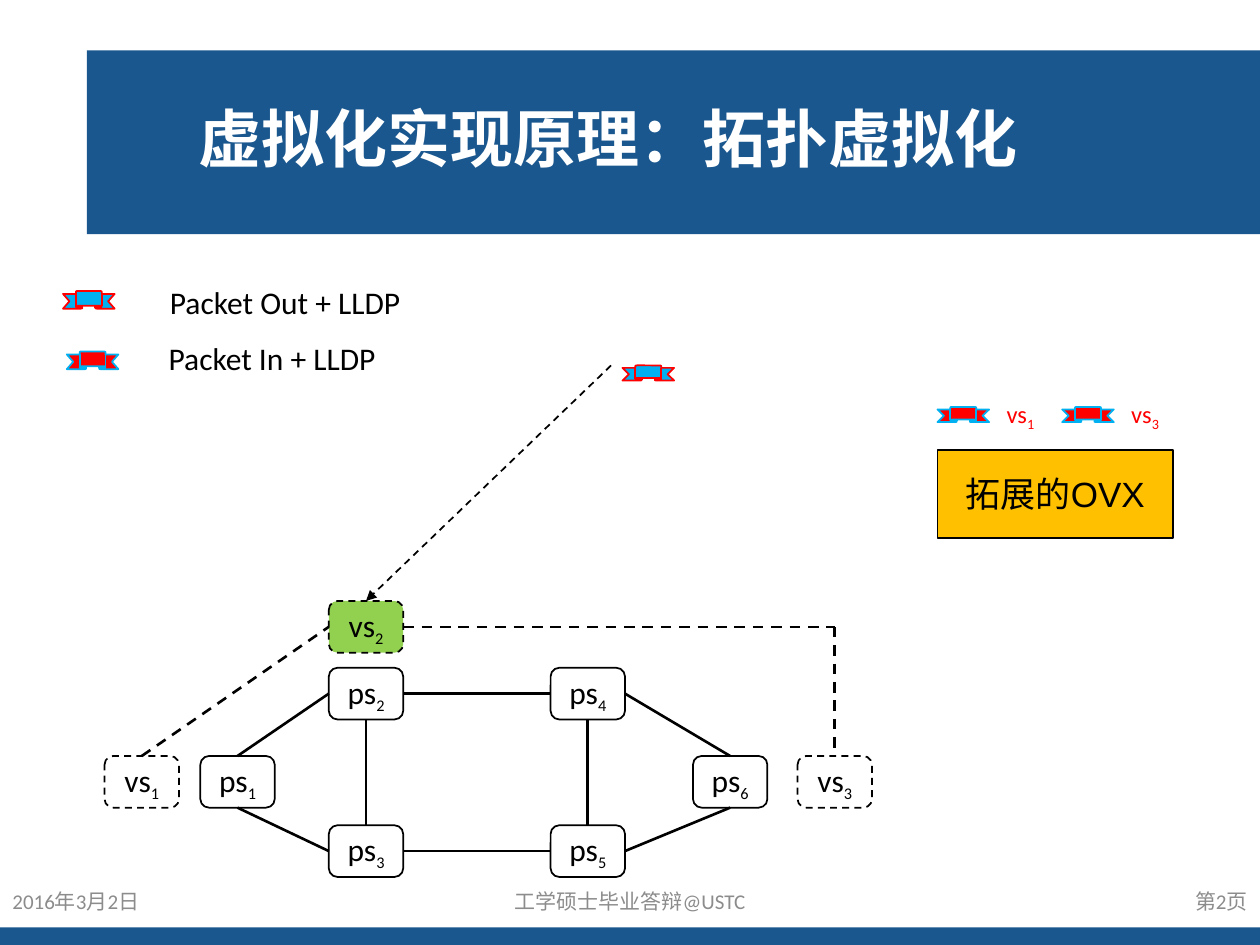
import pptx
import pptx.util
import pptx.dml.color
import pptx.enum.dml
import pptx.enum.shapes
import pptx.enum.text
import pptx.oxml

COLORS = {
    "blue": "1A578E", "white": "FFFFFF", "black": "000000", "gray": "8C8C8C",
    "green": "92D050", "amber": "FFC000", "sky": "00B0F0", "red": "FF0000",
}
SHAPES = pptx.enum.shapes.MSO_SHAPE
ALIGN = pptx.enum.text.PP_ALIGN
MIDDLE = pptx.enum.text.MSO_ANCHOR.MIDDLE
FIT = pptx.enum.text.MSO_AUTO_SIZE.SHAPE_TO_FIT_TEXT
DASH = pptx.enum.dml.MSO_LINE.DASH
BODY = {"vertical_anchor": MIDDLE, "word_wrap": True}
LABEL = {"word_wrap": False, "auto_size": FIT}
TOP, LEFT, BOTTOM, RIGHT = range(4)


def color(name):
    return pptx.dml.color.RGBColor.from_string(COLORS[name])


def apply(target, values):
    for name, value in values.items():
        setattr(target, name, value)


class Sketch:
    columns, rows, font = 100, 75, "Calibri"

    def __init__(self, deck):
        self.deck = deck
        self.page = deck.slides.add_slide(deck.slide_layouts[6])
        self.canvas = self.page.shapes

    def place(self, *values):
        steps = (self.deck.slide_width / self.columns, self.deck.slide_height / self.rows)
        return [round(value * steps[index % 2]) for index, value in enumerate(values)]

    def outline(self, line, name, weight, dashed=False):
        line.color.rgb = color(name)
        line.width = pptx.util.Pt(weight)
        if dashed:
            line.dash_style = DASH

    def shape(self, kind, area, fill=None, line=None, weight=1, dashed=False):
        box = self.canvas.add_shape(kind, *self.place(*area))
        box.shadow.inherit = False
        if fill:
            box.fill.solid()
            box.fill.fore_color.rgb = color(fill)
        else:
            box.fill.background()
        if line:
            self.outline(box.line, line, weight, dashed)
        else:
            box.line.fill.background()
        return box

    def fill_text(self, box, text, size, ink="black", sub="", sub_size=None,
                  body=BODY, align=ALIGN.LEFT, bold=False, font=None):
        apply(box.text_frame, body)
        para = box.text_frame.paragraphs[0]
        para.alignment = align
        for part, points in ((text, size), (sub, sub_size or size)):
            if part:
                span = para.add_run()
                span.text = part
                apply(span.font, {"size": pptx.util.Pt(points), "bold": bold,
                                  "name": font or self.font})
                span.font.color.rgb = color(ink)
        if sub:
            span._r.get_or_add_rPr().set("baseline", "-25000")
        return para

    def text(self, area, *args, **style):
        return self.fill_text(self.canvas.add_textbox(*self.place(*area)), *args, **style)

    def node(self, name, left, top, fill="white"):
        box = self.shape(SHAPES.ROUNDED_RECTANGLE, (left, top, 5.9, 4.1), fill, "black",
                         dashed=name.startswith("vs"))
        self.fill_text(box, name[:2], 18, sub=name[2:], sub_size=16, align=ALIGN.CENTER)
        return box

    def ribbon(self, left, top, height, fill, line):
        self.shape(SHAPES.UP_RIBBON, (left, top, 4.1, height), fill, line)

    def legend(self, area, text):
        self.fill_text(self.shape(SHAPES.RECTANGLE, area, line="white", weight=0.75),
                       text, 18, body=LABEL)

    def message(self, left, number):
        self.canvas = self.page.shapes.add_group_shape().shapes
        self.ribbon(left, 32.3, 1.2, "red", "sky")
        self.text((left + 4.5, 31.2, 4.3, 3.4), "vs", 14, "red", sub=number, body=LABEL)
        self.canvas = self.page.shapes

    def link(self, start=(0, 0), end=(0, 0), source=None, target=None,
             weight=1.5, dashed=False, arrow=False):
        line = self.canvas.add_connector(pptx.enum.shapes.MSO_CONNECTOR.STRAIGHT,
                                         *self.place(*start, *end))
        if source:
            line.begin_connect(*source)
        if target:
            line.end_connect(*target)
        self.outline(line.line, "black", weight, dashed)
        if arrow:
            tip = pptx.oxml.parse_xml(
                '<a:tailEnd xmlns:a="http://schemas.openxmlformats.org/drawingml/2006/main"'
                ' type="triangle"/>')
            line.get_or_add_ln().append(tip)
        line._element.spPr.append(pptx.oxml.parse_xml(
            '<a:effectLst xmlns:a="http://schemas.openxmlformats.org/drawingml/2006/main"/>'))


def main():
    deck = pptx.Presentation()
    deck.slide_width = pptx.util.Inches(10)
    deck.slide_height = pptx.util.Inches(7.5)
    sketch = Sketch(deck)

    sketch.shape(SHAPES.RECTANGLE, (6.9, 4, 93.1, 14.6), "blue")
    sketch.shape(SHAPES.RECTANGLE, (0, 73.6, 100, 1.4), "blue")
    title = sketch.text((6.9, 4, 86.2, 14.5), "虚拟化实现原理：拓扑虚拟化", 36, "white", bold=True)
    title.line_spacing = 0.9
    title._p.get_or_add_pPr().set("marL", str(pptx.util.Inches(0.79)))

    for left, width, text, align in (
        (0, 22.5, "2016年3月2日", ALIGN.LEFT),
        (33.1, 33.8, "工学硕士毕业答辩@USTC", ALIGN.CENTER),
        (77.5, 22.5, "第2页", ALIGN.RIGHT),
    ):
        sketch.text((left, 69.5, width, 4), text, 12, "gray", align=align)

    nodes = {name: sketch.node(name, left, top) for name, left, top in (
        ("vs1", 8.3, 60), ("vs3", 63.3, 60),
        ("ps1", 15.9, 60), ("ps2", 26.1, 53), ("ps3", 26.1, 65.5),
        ("ps4", 43.7, 53), ("ps5", 43.7, 65.5), ("ps6", 55, 60),
    )}
    nodes["vs2"] = sketch.node("vs2", 26.1, 47.7, "green")

    for source, side, target, facing in (
        ("vs1", TOP, "vs2", LEFT),
        ("ps1", TOP, "ps2", LEFT), ("ps1", BOTTOM, "ps3", LEFT),
        ("ps3", TOP, "ps2", BOTTOM), ("ps2", RIGHT, "ps4", LEFT),
        ("ps3", RIGHT, "ps5", LEFT), ("ps4", BOTTOM, "ps5", TOP),
        ("ps4", RIGHT, "ps6", TOP), ("ps5", RIGHT, "ps6", BOTTOM),
    ):
        sketch.link(source=(nodes[source], side), target=(nodes[target], facing),
                    dashed=source.startswith("vs"))

    corner = (66.25, 49.75)
    sketch.link(end=corner, source=(nodes["vs2"], RIGHT), dashed=True)
    sketch.link(start=corner, target=(nodes["vs3"], TOP), dashed=True)
    sketch.link(start=(48.5, 29), target=(nodes["vs2"], TOP), weight=1, dashed=True, arrow=True)

    controller = sketch.shape(SHAPES.RECTANGLE, (74.4, 35.7, 18.7, 7), "amber", "black")
    sketch.fill_text(controller, "拓展的OVX", 20, align=ALIGN.CENTER, font="Arial")

    sketch.legend((12.5, 22, 20.5, 4), "Packet Out + LLDP")
    sketch.legend((12.4, 26.4, 18.6, 4), "Packet In + LLDP")
    sketch.ribbon(5, 23.1, 1.4, "sky", "red")
    sketch.ribbon(49.4, 29, 1.2, "sky", "red")
    sketch.ribbon(5.3, 27.9, 1.4, "red", "sky")
    sketch.message(74.4, "1")
    sketch.message(84.3, "3")

    deck.save("out.pptx")


if __name__ == "__main__":
    main()
